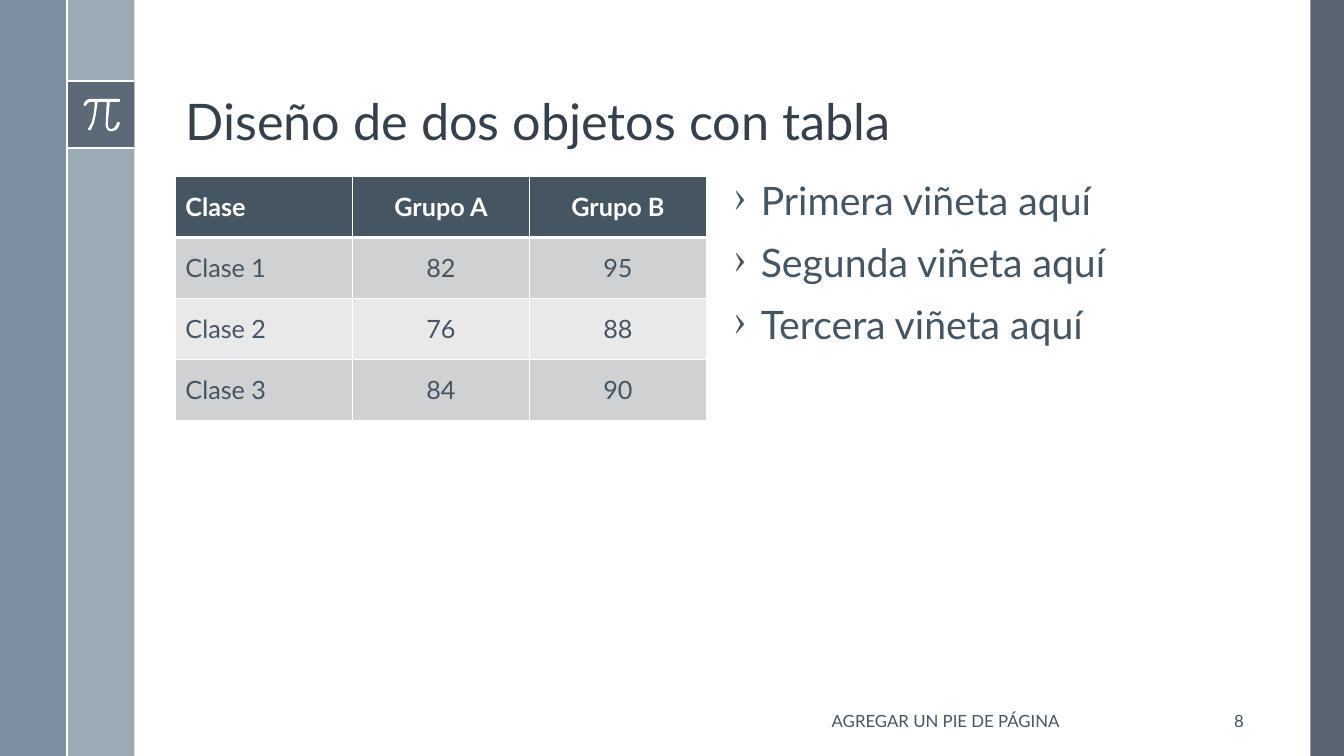
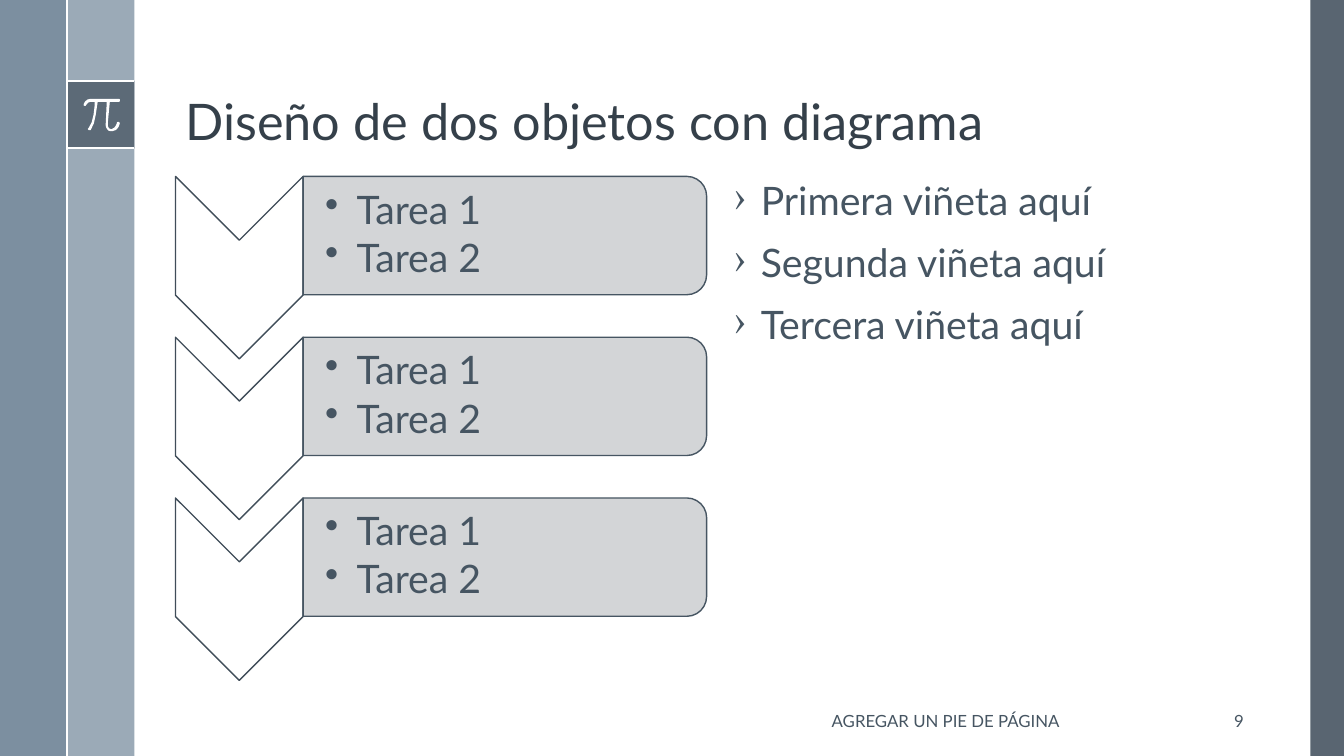
from lxml import etree
from pptx import Presentation
from pptx.dml.color import RGBColor
from pptx.enum.shapes import MSO_CONNECTOR, MSO_SHAPE
from pptx.enum.text import MSO_ANCHOR, PP_ALIGN
from pptx.oxml.ns import qn
from pptx.util import Pt

LEFT, MID, RIGHT = PP_ALIGN.LEFT, PP_ALIGN.CENTER, PP_ALIGN.RIGHT
TOP, CENTER, BOTTOM = MSO_ANCHOR.TOP, MSO_ANCHOR.MIDDLE, MSO_ANCHOR.BOTTOM
RECT, CHEVRON = MSO_SHAPE.RECTANGLE, MSO_SHAPE.CHEVRON
ROUND = MSO_SHAPE.ROUND_2_SAME_RECTANGLE
STRAIGHT = MSO_CONNECTOR.STRAIGHT

FONT = "Lato"
WHITE, INK, HEAD, EDGE = "FFFFFF", "465562", "35404A", "404D59"
SLATE, STEEL, MIST = "475562", "6A8093", "9BAAB7"
GRAY, PALE = "CFD1D3", "E9E9EA"

TITLES = ["Diseño de dos objetos con tabla", "Diseño de dos objetos con diagrama"]
POINTS = ["Primera viñeta aquí", "Segunda viñeta aquí", "Tercera viñeta aquí"]
TASKS = [["Tarea 1", "Tarea 2"]] * 3
GRADES = [
    ("Clase", "Grupo A", "Grupo B"),
    ("Clase 1", "82", "95"),
    ("Clase 2", "76", "88"),
    ("Clase 3", "84", "90"),
]
FOOTER = "AGREGAR UN PIE DE PÁGINA"
FIRST = 8

BANDS = [
    (936, 0, 24, 540, SLATE, 90),
    (48, 0, 48, 540, MIST, 100),
    (0, 0, 48, 540, STEEL, 88),
    (48, 58, 48, 48, SLATE, 75),
]
RULES = [(48, 58, 96, 58), (48, 106, 96, 106), (48, 0, 48, 540)]
PI = [
    (118, 98), (90, 98), (85, 98, 83, 103, 83, 104), (83, 104, 83, 105, 84, 105),
    (85, 105), (85, 105, 87, 101, 90, 101), (94, 101),
    (94, 105, 93, 122, 88, 127), (87, 128, 87, 128, 88, 129), (89, 129),
    (90, 129), (95, 123, 96, 105, 97, 101), (106, 101), (105, 122),
    (105, 122, 104, 126, 107, 129), (108, 130, 109, 130, 110, 130),
    (111, 130, 111, 130, 112, 130), (117, 130, 119, 123, 119, 122),
    (119, 122, 118, 121, 118, 121), (117, 121, 116, 121, 116, 122),
    (116, 122, 115, 127, 111, 128), (110, 128, 109, 128, 108, 127),
    (107, 126, 107, 123, 107, 122), (109, 101), (118, 101),
    (119, 101, 119, 100, 119, 100), (119, 99, 119, 98, 118, 98),
]

X, Y, WIDE, HIGH = 125.3, 126, 379.4, 360
FAR = 517
ROW = 43.56


def rgb(code):
    return RGBColor.from_string(code)


def pts(*nums):
    return [Pt(n) for n in nums]


def paint(shape, color, alpha=100, line=None):
    shape.shadow.inherit = False
    shape.fill.solid()
    shape.fill.fore_color.rgb = rgb(color)
    if alpha < 100:
        tone = shape.fill._xPr.find(".//" + qn("a:srgbClr"))
        etree.SubElement(tone, qn("a:alpha"), val=str(alpha * 1000))
    if line:
        shape.line.color.rgb = rgb(line)
        shape.line.width = Pt(1)
    else:
        shape.line.fill.background()


def write(frame, lines, size, color=INK, align=LEFT, anchor=TOP, bold=False,
          space=1, before=0, after=0, mark=None, dent=0):
    frame.word_wrap = True
    frame.vertical_anchor = anchor
    for i, line in enumerate(lines):
        para = frame.add_paragraph() if i else frame.paragraphs[0]
        para.alignment = align
        para.line_spacing = space
        para.space_before, para.space_after = Pt(before), Pt(after)
        if mark:
            props = para._p.get_or_add_pPr()
            props.set("marL", str(Pt(dent)))
            props.set("indent", str(-Pt(dent)))
            etree.SubElement(props, qn("a:buChar"), char=mark)
        run = para.add_run()
        run.text = line
        run.font.name, run.font.size = FONT, Pt(size)
        run.font.bold = bold
        run.font.color.rgb = rgb(color)


def label(slide, box, lines, size, **style):
    frame = slide.shapes.add_textbox(*pts(*box)).text_frame
    write(frame, lines, size, **style)
    return frame


def turn(slide, kind, x, y, w, h, color, line, alpha=100):
    box = pts(x + (w - h) / 2, y + (h - w) / 2, h, w)
    shape = slide.shapes.add_shape(kind, *box)
    shape.rotation = 90
    paint(shape, color, alpha, line)


def curve(steps):
    spot = steps[0]
    for step in steps[1:]:
        if len(step) == 2:
            yield step
        else:
            a, b, c = step[:2], step[2:4], step[4:]
            for t in (0.25, 0.5, 0.75, 1):
                u = 1 - t
                yield tuple(
                    u**3 * p + 3 * u * u * t * q + 3 * u * t * t * r + t**3 * s
                    for p, q, r, s in zip(spot, a, b, c))
        spot = step[-2:]


def frame_layout(slide, layout):
    old = len(slide.shapes)
    for *box, color, alpha in BANDS:
        paint(slide.shapes.add_shape(RECT, *pts(*box)), color, alpha)
    for rule in RULES:
        link = slide.shapes.add_connector(STRAIGHT, *pts(*rule))
        link.line.color.rgb = rgb(WHITE)
        link.line.width = Pt(1.5)
        etree.SubElement(link._element.spPr, qn("a:effectLst"))
    dots = [(x * 10, y * 10) for x, y in curve(PI)]
    pen = slide.shapes.build_freeform(
        PI[0][0] * 10, PI[0][1] * 10, scale=Pt(0.72) / 10)
    pen.add_line_segments(dots, close=True)
    paint(pen.convert_to_shape(), WHITE)
    for shape in list(slide.shapes)[old:]:
        layout.shapes.element.append(shape.element)


def dress(slide, title, num):
    head = slide.shapes.title
    head.left, head.top, head.width, head.height = pts(X, 13.7, 770.4, 97.9)
    write(head.text_frame, [title], 36, color=HEAD, anchor=BOTTOM, space=0.9)
    label(slide, (FAR, Y, WIDE, HIGH), POINTS, 28, space=0.9, before=14,
          mark="›", dent=19.4)
    label(slide, (519, 500.4, 313.2, 28.8), [FOOTER], 12, align=MID, anchor=CENTER)
    label(slide, (847.4, 500.4, 48.2, 28.8), [str(num)], 12, align=RIGHT,
          anchor=CENTER)


def edge(cell, row):
    props = cell._tc.get_or_add_tcPr()
    widths = {"L": 1, "R": 1, "T": 3 if row == 1 else 1, "B": 1 if row else 3}
    for i, (side, width) in enumerate(widths.items()):
        line = etree.Element(qn("a:ln" + side), w=str(Pt(width)))
        fill = etree.SubElement(line, qn("a:solidFill"))
        etree.SubElement(fill, qn("a:srgbClr"), val=WHITE)
        props.insert(i, line)


def add_grades(slide):
    rows, cols = len(GRADES), len(GRADES[0])
    table = slide.shapes.add_table(
        rows, cols, *pts(X, Y, WIDE, ROW * rows)).table
    table.horz_banding = False
    for col in table.columns:
        col.width = Pt(WIDE / cols)
    for r, line in enumerate(GRADES):
        table.rows[r].height = Pt(ROW)
        for c, text in enumerate(line):
            cell = table.cell(r, c)
            cell.fill.solid()
            cell.fill.fore_color.rgb = rgb((GRAY if r % 2 else PALE) if r else INK)
            cell.vertical_anchor = CENTER
            edge(cell, r)
            para = cell.text_frame.paragraphs[0]
            para.alignment = MID if c else LEFT
            run = para.add_run()
            run.text = text
            run.font.name, run.font.size, run.font.bold = FONT, Pt(18), r == 0
            run.font.color.rgb = rgb(INK if r else WHITE)


def add_steps(slide):
    wide, high, tall = 91.2, 130.3, 84.5
    gap = (HIGH - high) / (len(TASKS) - 1)
    x = X + wide
    for i, tasks in enumerate(TASKS):
        y = Y + i * gap
        turn(slide, CHEVRON, X, y, wide, high, WHITE, EDGE)
        turn(slide, ROUND, x, y, WIDE - wide, tall, GRAY, INK, 90)
        frame = label(slide, (x, y + 4, WIDE - wide - 4, tall - 8), tasks, 28,
                      anchor=CENTER, space=0.9, after=4.2, mark="•", dent=22.5)
        frame.margin_left = Pt(15.8)
        frame.margin_top = frame.margin_right = frame.margin_bottom = Pt(1.4)


deck = Presentation()
deck.slide_width, deck.slide_height = pts(960, 540)
plain = deck.slide_layouts[5]
for i, (title, fill) in enumerate(zip(TITLES, (add_grades, add_steps))):
    slide = deck.slides.add_slide(plain)
    if not i:
        frame_layout(slide, plain)
    dress(slide, title, FIRST + i)
    fill(slide)
deck.save("out.pptx")
